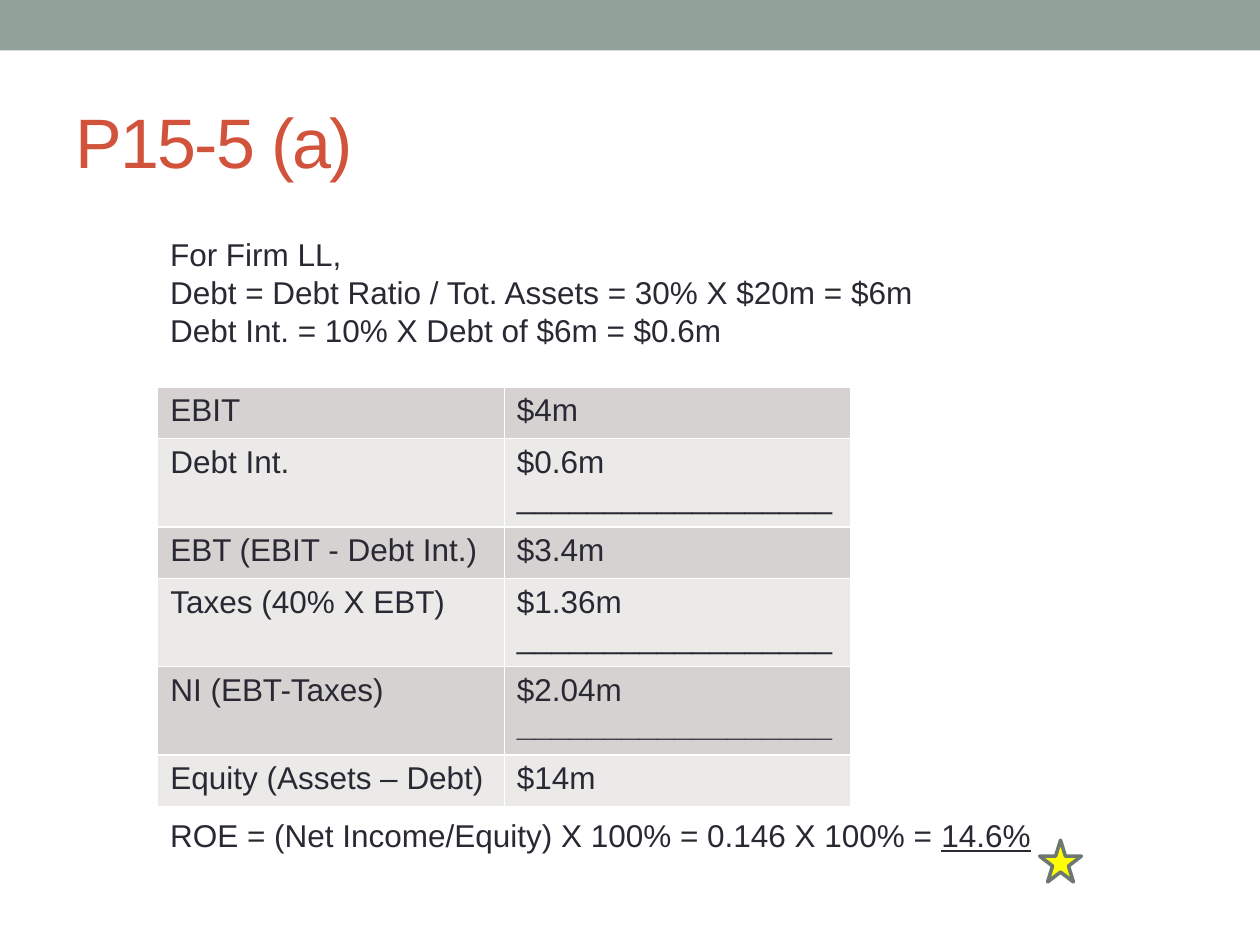
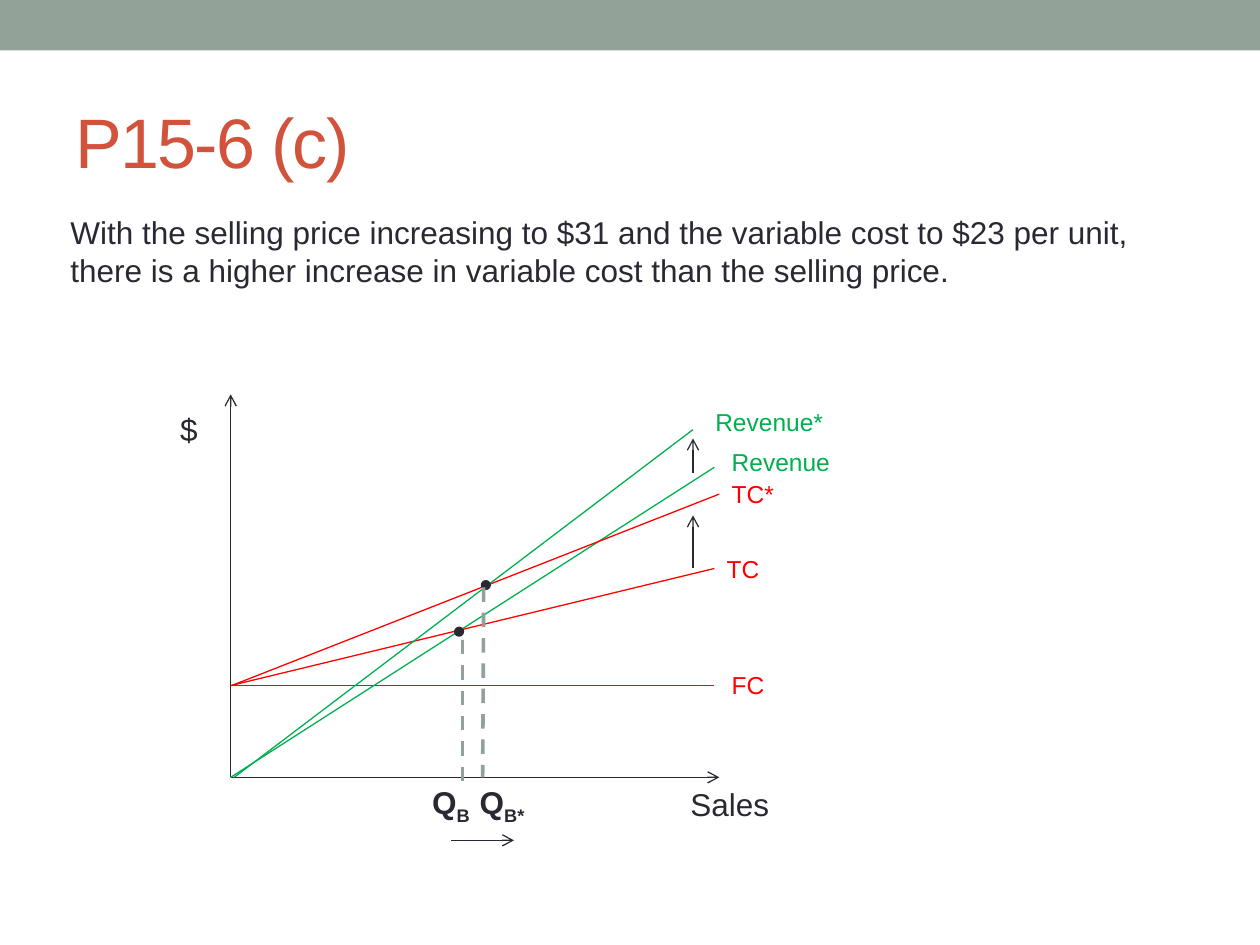
"""Build two finance slides: a return on equity table and a break-even graph."""
from typing import Any, NamedTuple

from lxml.etree import SubElement
from pptx import Presentation
from pptx.dml.color import RGBColor as Rgb
from pptx.enum.dml import MSO_LINE_DASH_STYLE as Dash
from pptx.enum.shapes import MSO_CONNECTOR_TYPE as Link, MSO_SHAPE as Kind
from pptx.enum.text import MSO_ANCHOR as Anchor, MSO_AUTO_SIZE as Fit, PP_ALIGN as Align
from pptx.oxml import parse_xml
from pptx.oxml.ns import nsdecls, qn
from pptx.util import Cm, Pt

FONT = "Arial"
HUES = {
    "ink": "292934", "band": "93A299", "title": "D2533C", "red": "FF0000",
    "green": "00B050", "star": "FFFF00", "edge": "6D7871", "white": "FFFFFF",
    "dark": "D5D2D1", "light": "EBEAE9",
}
RULE = "_" * 18


class Part(NamedTuple):
    text: str
    style: dict[str, Any] = {}
    base: int = 0


class Note(NamedTuple):
    left: float
    top: float
    width: float
    height: float
    lines: list[list[Part]]
    size: float = 18
    hue: str = "ink"


class Line(NamedTuple):
    start: tuple[float, float]
    end: tuple[float, float]
    hue: str = "ink"
    arrow: bool = False
    width: float = 0.75
    dash: bool = False


class Mark(NamedTuple):
    kind: Kind
    left: float
    top: float
    width: float
    height: float
    fill: str
    edge: str = ""


def shade(hue: str) -> Rgb:
    return Rgb.from_string(HUES[hue])


def assign(target: Any, values: dict[str, Any]) -> None:
    for name, value in values.items():
        setattr(target, name, value)


def write(frame: Any, lines: list[list[Part]], size: float = 18, hue: str = "ink") -> None:
    for spot, parts in enumerate(lines):
        para = frame.add_paragraph() if spot else frame.paragraphs[0]
        for part in parts:
            run = para.add_run()
            run.text = part.text
            assign(run.font, {"name": FONT, "size": Pt(size), "bold": False} | part.style)
            run.font.color.rgb = shade(hue)


def add_note(slide: Any, note: Note) -> None:
    box = slide.shapes.add_textbox(*map(Cm, note[:4]))
    assign(box.text_frame, {"word_wrap": True, "auto_size": Fit.SHAPE_TO_FIT_TEXT})
    write(box.text_frame, note.lines, note.size, note.hue)
    parts = [part for line in note.lines for part in line]
    for part, props in zip(parts, box.element.iter(qn("a:rPr"))):
        if part.base:
            props.set("baseline", str(part.base * 1000))


def add_line(slide: Any, line: Line) -> None:
    link = slide.shapes.add_connector(Link.STRAIGHT, *map(Cm, line.start + line.end))
    link.line.color.rgb = shade(line.hue)
    link.line.width = Pt(line.width)
    if line.dash:
        link.line.dash_style = Dash.DASH
    if line.arrow:
        SubElement(link.get_or_add_ln(), qn("a:tailEnd"), type="arrow")
    SubElement(link.element.spPr, qn("a:effectLst"))


def add_mark(slide: Any, mark: Mark) -> Any:
    shape = slide.shapes.add_shape(mark.kind, *map(Cm, mark[1:5]))
    shape.shadow.inherit = False
    shape.fill.solid()
    shape.fill.fore_color.rgb = shade(mark.fill)
    if mark.edge:
        shape.line.color.rgb = shade(mark.edge)
        shape.line.width = Pt(2.08)
    else:
        shape.line.fill.background()
    return shape


def add_table(slide: Any, rows: list[list[list[Part]]]) -> None:
    frame = slide.shapes.add_table(len(rows), 2, Cm(3.18), Cm(7.8), Cm(13.97), Cm(1.04 * len(rows)))
    table = frame.table
    assign(table, {"first_row": False, "horz_banding": False})
    for row, texts in enumerate(rows):
        for col, parts in enumerate(texts):
            cell = table.cell(row, col)
            cell.fill.solid()
            cell.fill.fore_color.rgb = shade("light" if row % 2 else "dark")
            write(cell.text_frame, [[part] for part in parts])
    for props in frame.element.iter(qn("a:tcPr")):
        for spot, side in enumerate("LRTB"):
            props.insert(spot, parse_xml(
                f'<a:ln{side} {nsdecls("a")} w="12700"><a:solidFill>'
                f'<a:srgbClr val="{HUES["white"]}"/></a:solidFill></a:ln{side}>'))


def add_slide(deck: Any, text: str) -> Any:
    slide = deck.slides.add_slide(deck.slide_layouts[5])
    title = slide.shapes.title
    assign(title, {"left": Cm(1.27), "top": Cm(1.47), "width": Cm(22.86), "height": Cm(2.74)})
    assign(title.text_frame, {"vertical_anchor": Anchor.MIDDLE, "auto_size": Fit.NONE})
    write(title.text_frame, [[Part(text)]], 40, "title")
    title.text_frame.paragraphs[0].alignment = Align.LEFT
    for props in title.element.iter(qn("a:rPr")):
        props.set("spc", "-100")
    return slide


def add_band(deck: Any, slide: Any) -> None:
    band = add_mark(slide, Mark(Kind.RECTANGLE, 0, 0, 25.4, 1.02, "band"))
    slide.slide_layout.element.cSld.spTree.insert(2, band.element)


def build_roe(deck: Any) -> None:
    slide = add_slide(deck, "P15-5 (a)")
    add_band(deck, slide)
    add_note(slide, Note(3.18, 4.62, 19.69, 2.57, [
        [Part("For Firm LL,")],
        [Part("Debt = Debt Ratio / Tot. Assets = 30% X $20m = $6m")],
        [Part("Debt Int. = 10% X Debt of $6m = $0.6m")],
    ]))
    add_mark(slide, Mark(Kind.STAR_5_POINT, 20.96, 16.94, 0.84, 0.84, "star", "edge"))
    add_table(slide, [
        [[Part("EBIT")], [Part("$4m")]],
        [[Part("Debt Int.")], [Part("$0.6m"), Part(RULE)]],
        [[Part("EBT (EBIT - Debt Int.)")], [Part("$3.4m")]],
        [[Part("Taxes (40% X EBT)")], [Part("$1.36m"), Part(RULE)]],
        [[Part("NI (EBT-Taxes)")], [Part("$2.04m"), Part(RULE, {"bold": True})]],
        [[Part("Equity (Assets – Debt)")], [Part("$14m")]],
    ])
    add_note(slide, Note(3.18, 16.33, 19.89, 1.02, [[
        Part("ROE = (Net Income/Equity) X 100% = 0.146 X 100% = "),
        Part("14.6%", {"underline": True}),
    ]]))


def build_graph(deck: Any) -> None:
    slide = add_slide(deck, "P15-6 (c)")
    zero, fixed = (4.65, 15.67), (4.65, 13.82)
    for line in (
        Line(zero, (14.5, 15.67), arrow=True),
        Line(zero, (4.65, 7.95), arrow=True),
        Line(fixed, (14.4, 13.82), "red"),
        Line(fixed, (14.4, 11.46), "red"),
        Line(zero, (14.4, 9.42), "green"),
        Line((4.67, 13.82), (14.5, 9.96), "red"),
        Line((4.72, 15.67), (13.97, 8.66), "green"),
        Line((13.97, 11.46), (13.97, 10.39), arrow=True),
        Line((13.97, 9.53), (13.97, 8.84), arrow=True),
        Line((9.09, 16.94), (10.36, 16.94), arrow=True),
    ):
        add_line(slide, line)
    for left, top in ((9.19, 12.67), (9.73, 11.73)):
        add_mark(slide, Mark(Kind.OVAL, left, top, 0.13, 0.13, "ink", "ink"))
    for start, end in (((9.75, 11.84), (9.73, 15.67)), ((9.32, 12.9), (9.32, 15.88))):
        add_line(slide, Line(start, end, "band", width=2.08, dash=True))
    for text, left, top, width, hue in (
        ("FC", 14.5, 13.39, 1.7, "red"),
        ("TC", 14.4, 11.05, 1.7, "red"),
        ("TC*", 14.5, 9.53, 1.7, "red"),
        ("Revenue", 14.5, 8.89, 4.65, "green"),
        ("Revenue*", 14.17, 8.08, 4.65, "green"),
    ):
        add_note(slide, Note(left, top, width, 0.86, [[Part(text)]], 14, hue))
    bold = {"bold": True}
    for sub, left, width in (("B*", 9.42, 1.8), ("B", 8.46, 1.37)):
        add_note(slide, Note(left, 15.67, width, 1.02, [[Part("Q", bold), Part(sub, bold, -25)]]))
    add_note(slide, Note(3.38, 8.15, 0.84, 1.02, [[Part("$")]]))
    add_note(slide, Note(13.67, 15.7, 2.34, 1.02, [[Part("Sales")]]))
    add_note(slide, Note(1.17, 4.17, 21.89, 1.8, [[Part(
        "With the selling price increasing to $31 and the variable cost to $23 per unit, "
        "there is a higher increase in variable cost than the selling price.")]]))


def main() -> None:
    deck = Presentation()
    assign(deck, {"slide_width": Cm(25.4), "slide_height": Cm(19.05)})
    build_roe(deck)
    build_graph(deck)
    deck.save("out.pptx")


if __name__ == "__main__":
    main()
